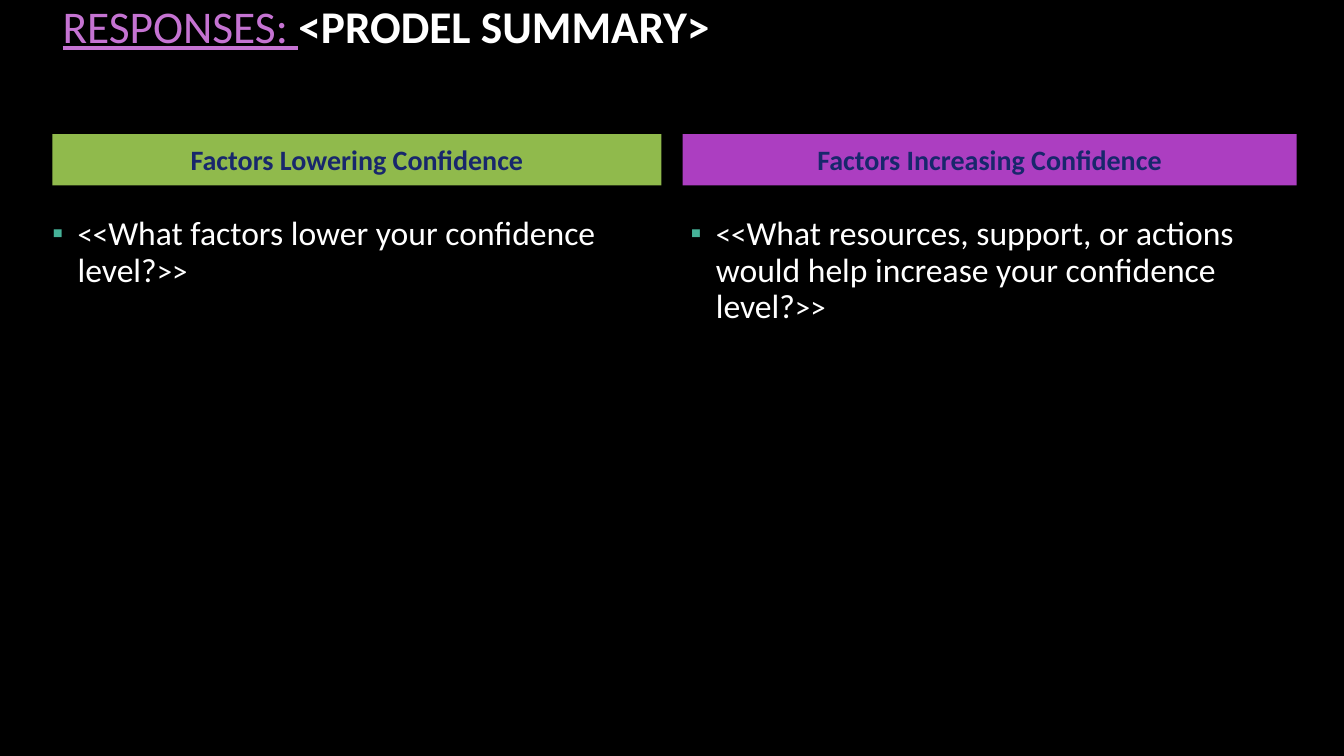
"""Build the confidence factors response slide."""
import dataclasses

import lxml.etree
import pptx
import pptx.dml.color
import pptx.enum.text
import pptx.oxml.ns
import pptx.util
from pptx.util import Inches

RGB = pptx.dml.color.RGBColor.from_string


@dataclasses.dataclass(frozen=True)
class Theme:
    """Colours, font and type sizes of the slide."""
    font: str = "Calibri"
    background: str = "000000"
    text: str = "FFFFFF"
    accent: str = "C573D2"
    header_text: str = "18276C"
    lowering: str = "90BA4C"
    increasing: str = "AC3EC1"
    bullet: str = "46B298"
    title_size: float = 32.4
    header_size: float = 20
    prompt_size: float = 24
    bracket_size: float = 22


THEME = Theme()


def place(placeholder, left, top, width, height):
    """Move a placeholder to a position given in inches."""
    placeholder.left, placeholder.top = Inches(left), Inches(top)
    placeholder.width, placeholder.height = Inches(width), Inches(height)


def prepare_frame(placeholder, anchor, inset=None):
    """Set wrapping, anchor and insets, and return the first paragraph."""
    frame = placeholder.text_frame
    frame.word_wrap = True
    frame.auto_size = pptx.enum.text.MSO_AUTO_SIZE.NONE
    frame.vertical_anchor = anchor
    if inset is not None:
        frame.margin_left = frame.margin_right = Inches(inset)
        frame.margin_top = frame.margin_bottom = Inches(inset)
    return frame.paragraphs[0]


def set_font(font, size, color, bold=False):
    """Apply the theme font with a size and colour."""
    font.name = THEME.font
    font.size = pptx.util.Pt(size)
    font.color.rgb = RGB(color)
    font.bold = bold


def add_bullet(paragraph):
    """Give a paragraph a hanging square bullet."""
    properties = paragraph._p.get_or_add_pPr()
    properties.set("marL", str(Inches(0.25)))
    properties.set("indent", str(Inches(-0.25)))
    qn = pptx.oxml.ns.qn
    color = lxml.etree.SubElement(properties, qn("a:buClr"))
    lxml.etree.SubElement(color, qn("a:srgbClr"), val=THEME.bullet)
    lxml.etree.SubElement(properties, qn("a:buFont"), typeface=THEME.font)
    lxml.etree.SubElement(properties, qn("a:buChar"), char="▪")


def fill_title(title, label, subject):
    """Write the underlined label and the bold subject."""
    place(title, 0.52, 0.4, 12.19, 0.51)
    paragraph = prepare_frame(title, pptx.enum.text.MSO_ANCHOR.MIDDLE)
    paragraph.alignment = pptx.enum.text.PP_ALIGN.LEFT
    paragraph.line_spacing = 0.9
    label_run, subject_run = paragraph.add_run(), paragraph.add_run()
    label_run.text, subject_run.text = label, subject
    set_font(label_run.font, THEME.title_size, THEME.accent)
    label_run.font.underline = True
    set_font(subject_run.font, THEME.title_size, THEME.text, bold=True)
    paragraph.add_line_break()


def fill_header(header, text, color, left, width):
    """Write a centred column heading on a coloured band."""
    place(header, left, 1.33, width, 0.51)
    header.fill.solid()
    header.fill.fore_color.rgb = RGB(color)
    paragraph = prepare_frame(header, pptx.enum.text.MSO_ANCHOR.MIDDLE, 0)
    paragraph.text = text
    paragraph.alignment = pptx.enum.text.PP_ALIGN.CENTER
    paragraph.space_before = pptx.util.Pt(0)
    paragraph.space_after = pptx.util.Pt(10)
    set_font(paragraph.font, THEME.header_size, THEME.header_text, bold=True)


def fill_prompt(body, question, left):
    """Write a bulleted question between double angle brackets."""
    place(body, left, 2.15, 6.04, 4.86)
    paragraph = prepare_frame(body, pptx.enum.text.MSO_ANCHOR.TOP, 0)
    paragraph.line_spacing = 0.9
    paragraph.space_before = pptx.util.Pt(10)
    add_bullet(paragraph)
    for text, size in (("<<", THEME.bracket_size),
                       (question, THEME.prompt_size),
                       (">>", THEME.bracket_size)):
        run = paragraph.add_run()
        run.text = text
        set_font(run.font, size, THEME.text)


def main():
    """Create and save the slide."""
    presentation = pptx.Presentation()
    presentation.slide_width = Inches(13.33)
    presentation.slide_height = Inches(7.5)
    slide = presentation.slides.add_slide(
        presentation.slide_layouts.get_by_name("Comparison"))
    slide.background.fill.solid()
    slide.background.fill.fore_color.rgb = RGB(THEME.background)

    title, low_header, low_body, high_header, high_body = list(
        slide.placeholders)[:5]
    fill_title(title, "RESPONSES: ", "<PRODEL SUMMARY>")
    fill_header(low_header, "Factors Lowering Confidence",
                THEME.lowering, 0.52, 6.04)
    fill_header(high_header, "Factors Increasing Confidence",
                THEME.increasing, 6.77, 6.09)
    fill_prompt(low_body, "What factors lower your confidence level?", 0.52)
    fill_prompt(high_body, "What resources, support, or actions would help "
                "increase your confidence level?", 6.85)
    presentation.save("out.pptx")


if __name__ == "__main__":
    main()
